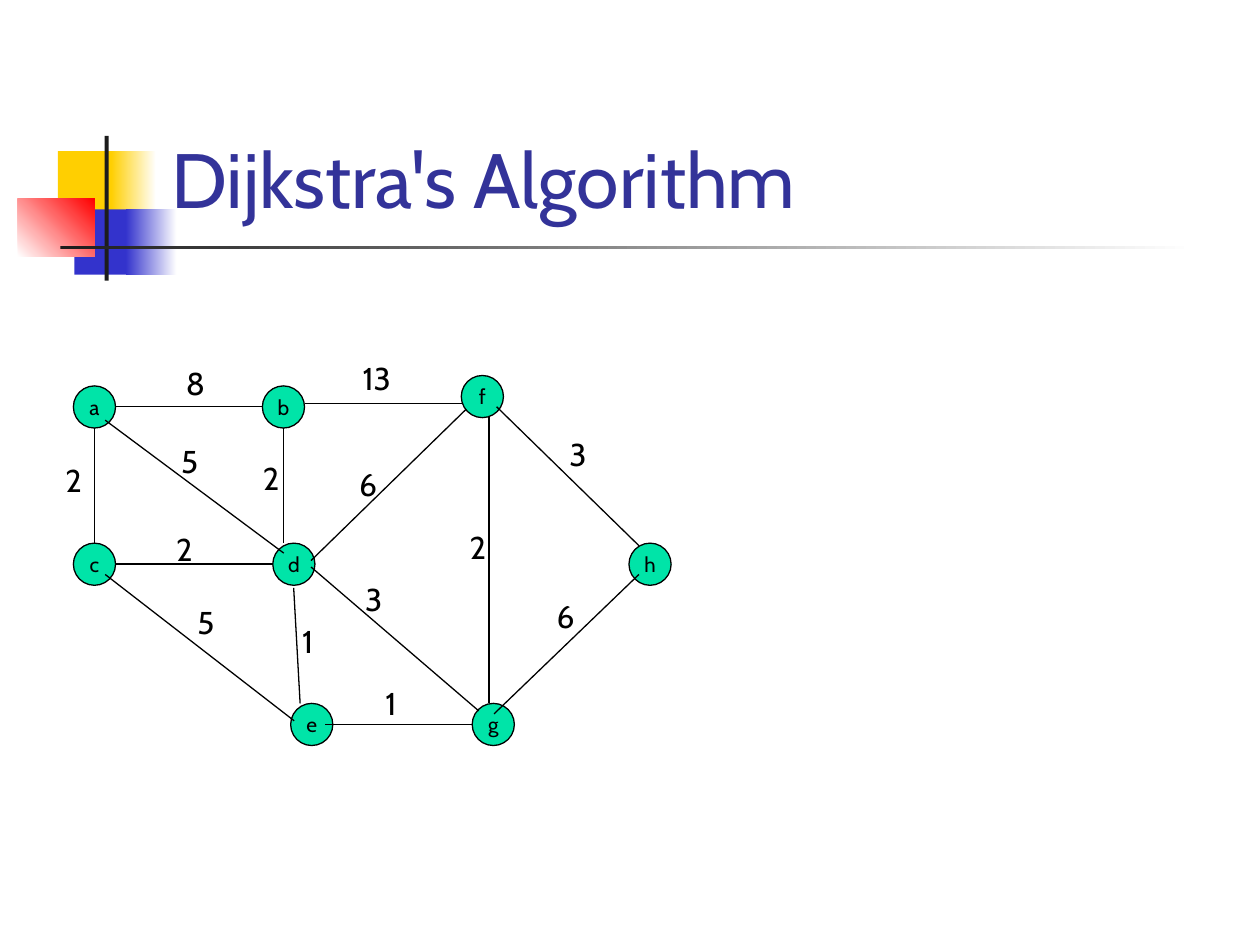
from lxml.etree import SubElement
from pptx import Presentation
from pptx.dml.color import RGBColor as Rgb
from pptx.enum.shapes import MSO_CONNECTOR as Connector, MSO_SHAPE as Shape
from pptx.enum.text import MSO_ANCHOR as Anchor, MSO_AUTO_SIZE as AutoSize, PP_ALIGN as Align
from pptx.oxml.ns import qn
from pptx.util import Cm, Pt

FONT = "Cabin"
COLORS = {
    "title": "333399",
    "node": "00E4A8",
    "ink": "000000",
    "yellow": "FFCF01",
    "blue": "3333CC",
    "red": "FF0000",
    "bar": "1C1C1C",
    "white": "FFFFFF",
}
NODE_SIZE = 0.85
LABEL_HEIGHT = 1.02

DECORATION = [
    (1.17, 3.05, 1.22, 1.32, ["yellow"], 0),
    (2.24, 3.05, 0.91, 1.32, ["yellow", "white"], 0),
    (1.5, 4.22, 1.17, 1.32, ["blue"], 0),
    (2.54, 4.22, 1.02, 1.32, ["blue", "white"], 0),
    (0.36, 4.01, 1.55, 1.17, ["white", "red"], 45),
    (2.11, 2.74, 0.08, 2.92, ["bar"], 0),
    (1.22, 4.95, 22.86, 0.08, ["bar", "white"], 0),
]
BACK_NODES = [
    ("a", 1.48, 7.78),
    ("b", 5.29, 7.78),
    ("c", 1.48, 10.95),
    ("d", 5.5, 10.95),
    ("h", 12.68, 10.95),
]
BACK_EDGES = [
    (2.33, 8.2, 5.29, 8.2),
    (1.9, 8.62, 1.9, 10.95),
    (2.33, 11.37, 5.5, 11.37),
    (5.72, 8.62, 5.72, 10.95),
    (6.27, 11.3, 9.45, 8.2),
    (6.14, 8.13, 9.53, 8.13),
]
FRONT_NODES = [("f", 9.3, 7.57), ("e", 5.86, 14.18), ("g", 9.52, 14.18)]
FRONT_EDGES = [
    (12.88, 11, 10.01, 8.2),
    (5.92, 11.85, 6.05, 14.18),
    (6.56, 14.61, 9.53, 14.61),
    (9.96, 14.39, 12.88, 11.58),
    (9.86, 14.18, 9.86, 8.41),
    (6.27, 11.43, 9.65, 14.33),
    (2.12, 8.47, 5.72, 11.15),
    (2.12, 11.58, 5.93, 14.53),
]
WEIGHTS = [
    ("8", 3.5, 7.21),
    ("13", 7.06, 7.11),
    ("3", 11.23, 8.64),
    ("5", 3.4, 8.79),
    ("2", 1.07, 9.17),
    ("2", 3.3, 10.57),
    ("5", 3.73, 12.04),
    ("1", 5.84, 12.42),
    ("1", 7.52, 13.67),
    ("3", 7.11, 11.56),
    ("6", 6.99, 9.25),
    ("2", 9.22, 10.52),
    ("6", 10.97, 11.91),
    ("2", 5.05, 9.12),
]


def color(name):
    return Rgb.from_string(COLORS[name])


def write(frame, text, size, ink, align):
    frame.text = text
    para = frame.paragraphs[0]
    para.alignment = align
    para.font.name = FONT
    para.font.size = Pt(size)
    para.font.color.rgb = color(ink)


def add_decoration(page, left, top, width, height, fills, angle):
    block = page.shapes.add_shape(Shape.RECTANGLE, Cm(left), Cm(top), Cm(width), Cm(height))
    block.shadow.inherit = False
    block.line.fill.background()
    if len(fills) == 1:
        block.fill.solid()
        block.fill.fore_color.rgb = color(fills[0])
    else:
        block.fill.gradient()
        block.fill.gradient_angle = angle
        for stop, name in zip(block.fill.gradient_stops, fills):
            stop.color.rgb = color(name)


def add_title(page, text):
    title = page.shapes.title
    title.left, title.top, title.width, title.height = Cm(3.2), Cm(0.58), Cm(21.64), Cm(4.06)
    frame = title.text_frame
    frame.auto_size = AutoSize.NONE
    frame.vertical_anchor = Anchor.BOTTOM
    write(frame, text, 44, "title", Align.LEFT)


def add_node(page, name, left, top):
    node = page.shapes.add_shape(Shape.OVAL, Cm(left), Cm(top), Cm(NODE_SIZE), Cm(NODE_SIZE))
    node.shadow.inherit = False
    node.fill.solid()
    node.fill.fore_color.rgb = color("node")
    node.line.color.rgb = color("ink")
    node.line.width = Pt(0.75)
    frame = node.text_frame
    frame.word_wrap = False
    frame.vertical_anchor = Anchor.MIDDLE
    write(frame, name, 12, "ink", Align.CENTER)


def add_edge(page, *ends):
    edge = page.shapes.add_connector(Connector.STRAIGHT, *map(Cm, ends))
    edge.line.color.rgb = color("ink")
    edge.line.width = Pt(0.75)
    SubElement(edge.element.spPr, qn("a:effectLst"))


def add_weight(page, text, left, top):
    width = 0.5 + 0.36 * len(text)
    box = page.shapes.add_textbox(Cm(left), Cm(top), Cm(width), Cm(LABEL_HEIGHT))
    frame = box.text_frame
    frame.word_wrap = False
    frame.auto_size = AutoSize.SHAPE_TO_FIT_TEXT
    write(frame, text, 18, "ink", Align.LEFT)


def main():
    deck = Presentation()
    deck.slide_width, deck.slide_height = Cm(25.4), Cm(19.05)
    page = deck.slides.add_slide(deck.slide_layouts[5])
    add_title(page, "Dijkstra's Algorithm")
    for add, items in [
        (add_decoration, DECORATION),
        (add_node, BACK_NODES),
        (add_edge, BACK_EDGES),
        (add_node, FRONT_NODES),
        (add_edge, FRONT_EDGES),
        (add_weight, WEIGHTS),
    ]:
        for item in items:
            add(page, *item)
    deck.save("out.pptx")


if __name__ == "__main__":
    main()
